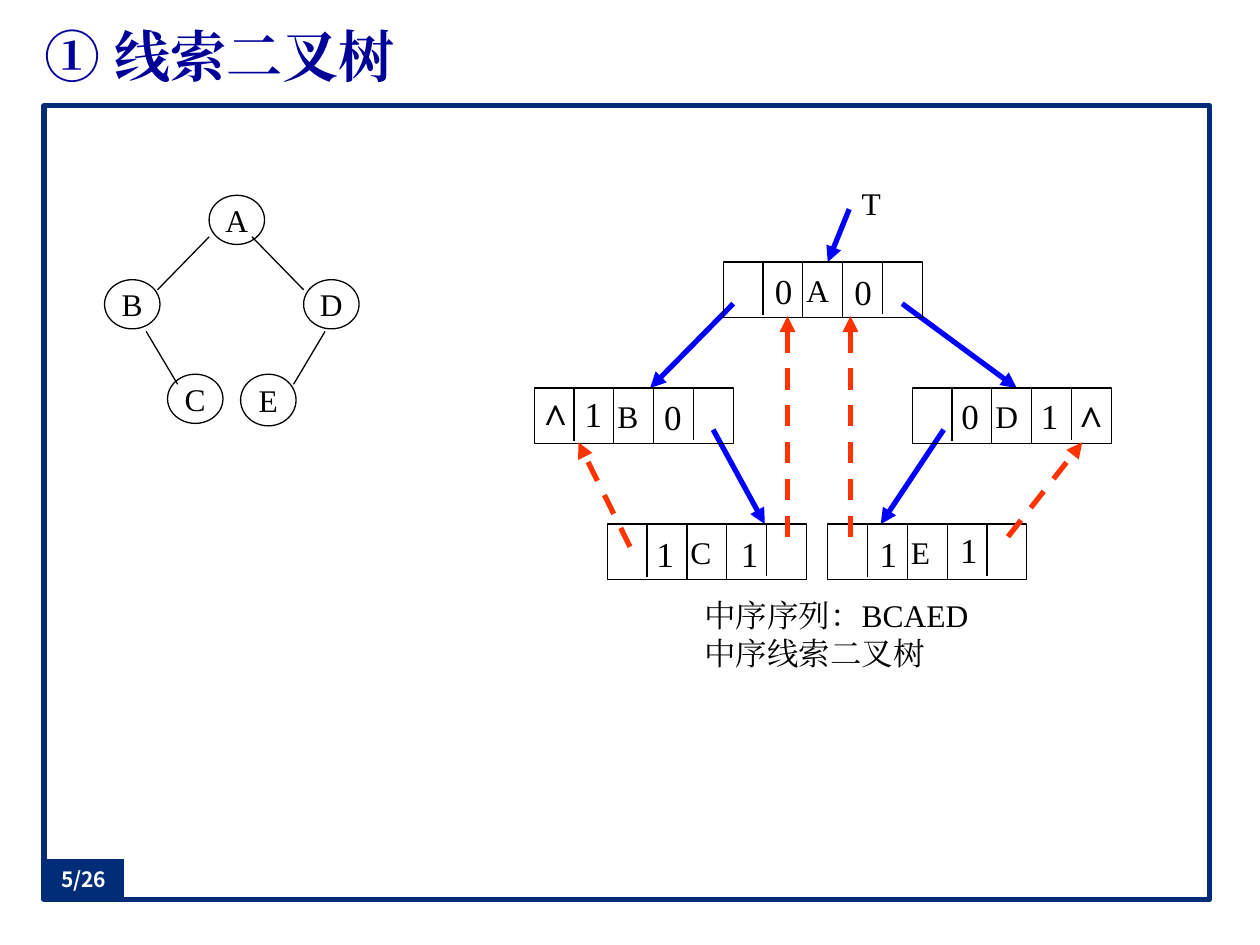
import pptx
import pptx.util
import pptx.dml.color
import pptx.enum.dml
import pptx.enum.shapes
import pptx.enum.text
import pptx.oxml.ns
from lxml import etree
from pptx.util import Inches

SHAPE = pptx.enum.shapes.MSO_SHAPE
ALIGN = pptx.enum.text.PP_ALIGN
ANCHOR = pptx.enum.text.MSO_ANCHOR
NAVY, BLUE, RED, BLACK, WHITE = "012D78", "0000FF", "FF3300", "000000", "FFFFFF"
SERIF, SANS = "Times New Roman", "Noto Sans CJK SC"


def color(value):
    return pptx.dml.color.RGBColor.from_string(value)


def add_element(parent, tag, **attributes):
    return etree.SubElement(parent, pptx.oxml.ns.qn(tag), attributes)


def write(shape, text, size=18, ink=BLACK, font=SERIF, bold=False,
          align=ALIGN.LEFT, anchor=ANCHOR.MIDDLE, wrap=False, insets=(0.1, 0.05, 0.1, 0.05)):
    """Fill a shape with text, one paragraph for each line; insets run left, top, right, bottom."""
    frame = shape.text_frame
    frame.word_wrap = wrap
    frame.vertical_anchor = anchor
    frame.margin_left, frame.margin_top, frame.margin_right, frame.margin_bottom = map(Inches, insets)
    for index, line in enumerate(text.split("\n")):
        para = frame.paragraphs[0] if index == 0 else frame.add_paragraph()
        para.alignment = align
        span = para.add_run()
        span.text = line
        span.font.size = pptx.util.Pt(size)
        span.font.bold = bold
        span.font.name = font
        span.font.color.rgb = color(ink)
        add_element(span.font._element, "a:ea", typeface=font)


class TreeSlide:
    RECORD_WIDTH, RECORD_HEIGHT = 1.58, 0.44
    DIVIDER_HEIGHTS = (0.42, 0.44, 0.44, 0.41)

    def __init__(self, deck):
        self.page = deck.slides.add_slide(deck.slide_layouts[6])

    def shape(self, kind, left, top, width, height, fill=None, line=BLACK, weight=0.75):
        shape = self.page.shapes.add_shape(kind, *map(Inches, (left, top, width, height)))
        shape.shadow.inherit = False
        if fill:
            shape.fill.solid()
            shape.fill.fore_color.rgb = color(fill)
        else:
            shape.fill.background()
        shape.line.color.rgb = color(line)
        shape.line.width = pptx.util.Pt(weight)
        return shape

    def text(self, left, top, width, height, text, **style):
        box = self.page.shapes.add_textbox(*map(Inches, (left, top, width, height)))
        write(box, text, **style)

    def line(self, start, end, ink=BLACK, weight=0.75, arrow=False, dashed=False):
        line = self.page.shapes.add_connector(
            pptx.enum.shapes.MSO_CONNECTOR.STRAIGHT, *map(Inches, (*start, *end)))
        line.line.color.rgb = color(ink)
        line.line.width = pptx.util.Pt(weight)
        if dashed:
            line.line.dash_style = pptx.enum.dml.MSO_LINE.DASH
        if arrow:
            add_element(line.line._get_or_add_ln(), "a:tailEnd", type="triangle")
        add_element(line._element.spPr, "a:effectLst")

    def child_link(self, start, end):
        self.line(start, end, BLUE, 3, arrow=True)

    def thread(self, start, end):
        self.line(start, end, RED, 3, arrow=True, dashed=True)

    def record(self, name, left, top):
        """Draw a node record of five equal cells with its name in the middle one."""
        box = self.shape(SHAPE.RECTANGLE, left, top, self.RECORD_WIDTH, self.RECORD_HEIGHT)
        write(box, name, insets=(0.66, 0.05, 0.1, 0.05))
        for cell, height in enumerate(self.DIVIDER_HEIGHTS, start=1):
            x = left + cell * self.RECORD_WIDTH / 5
            self.line((x, top), (x, top + height))

    def tag(self, text, left, top):
        self.text(left, top, 0.34, 0.43, text, size=20, align=ALIGN.CENTER)

    def null_mark(self, left, top):
        self.text(left, top, 0.4, 0.5, "^", size=24, bold=True, align=ALIGN.CENTER)

    def node(self, name, left, top, height=0.39):
        circle = self.shape(SHAPE.OVAL, left, top, 0.44, height)
        write(circle, name, align=ALIGN.CENTER)


def main():
    deck = pptx.Presentation()
    deck.slide_width, deck.slide_height = Inches(10), Inches(7.5)
    slide = TreeSlide(deck)

    slide.shape(SHAPE.RECTANGLE, 0.35, 0.84, 9.25, 6.3, WHITE, NAVY, 3)
    slide.text(0.35, 0.13, 9.25, 0.62, "① 线索二叉树", size=32, ink="000099", bold=True,
               align=ALIGN.JUSTIFY, wrap=True, insets=(0, 0, 0, 0))

    for start, end in [((5.82, 2.41), (5.16, 3.08)), ((7.16, 2.41), (8.07, 3.08)),
                       ((5.66, 3.41), (6.07, 4.16)), ((7.49, 3.41), (6.99, 4.16)),
                       ((6.74, 1.66), (6.57, 2.08))]:
        slide.child_link(start, end)
    for name, left, top in [("A", 5.74, 2.08), ("B", 4.24, 3.08), ("D", 7.24, 3.08),
                            ("C", 4.82, 4.16), ("E", 6.57, 4.16)]:
        slide.record(name, left, top)
    slide.text(6.74, 1.41, 0.37, 0.43, "T", anchor=ANCHOR.TOP)
    slide.text(5.49, 4.68, 2.57, 0.77, "中序序列：BCAED\n中序线索二叉树", anchor=ANCHOR.TOP)

    for text, left, top in [("0", 6.05, 2.09), ("0", 6.68, 2.1),
                            ("1", 4.54, 3.07), ("0", 5.17, 3.09),
                            ("0", 7.53, 3.08), ("1", 8.16, 3.08),
                            ("1", 5.11, 4.18), ("1", 5.78, 4.18),
                            ("1", 6.88, 4.18), ("1", 7.52, 4.15)]:
        slide.tag(text, left, top)
    slide.null_mark(4.21, 3.06)
    slide.null_mark(8.46, 3.07)
    for start, end in [((5, 4.34), (4.59, 3.51)), ((6.25, 4.26), (6.25, 2.51)),
                       ((6.75, 4.26), (6.75, 2.51)), ((8, 4.26), (8.59, 3.51))]:
        slide.thread(start, end)

    for name, left, top in [("A", 1.66, 1.55), ("B", 0.83, 2.22), ("C", 1.33, 2.97),
                            ("D", 2.41, 2.22)]:
        slide.node(name, left, top)
    slide.node("E", 1.91, 2.97, height=0.41)
    for start, end in [((1.66, 1.88), (1.25, 2.3)), ((2, 1.88), (2.41, 2.3)),
                       ((1.16, 2.63), (1.41, 3.05)), ((2.58, 2.63), (2.33, 3.05))]:
        slide.line(start, end)

    page_number = slide.shape(SHAPE.RECTANGLE, 0.35, 6.82, 0.63, 0.31, NAVY, "032C75")
    write(page_number, "5/26", size=12, ink=WHITE, font=SANS, bold=True,
          align=ALIGN.CENTER, insets=(0, 0, 0, 0))
    deck.save("out.pptx")


if __name__ == "__main__":
    main()
